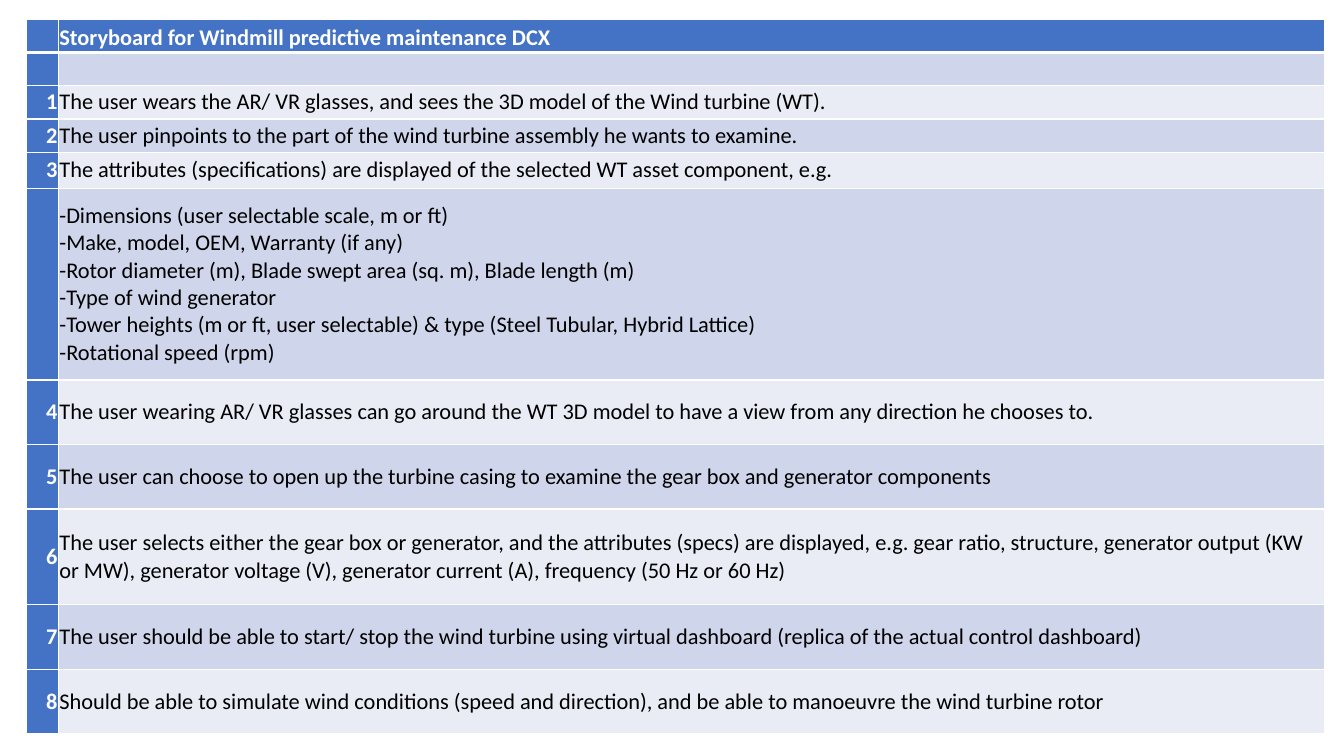
from copy import deepcopy

from lxml import etree
from pptx import Presentation
from pptx.dml.color import RGBColor
from pptx.enum import text as t
from pptx.oxml import ns
from pptx.util import Inches, Pt

BLUE, WHITE, BLACK = "4472C4", "FFFFFF", "000000"
BANDS = ["E9EBF5", "CFD5EA"]


def rgb(value):
    return RGBColor.from_string(value)


def write(cell, words, color=BLACK, bold=False, align=t.PP_ALIGN.LEFT, anchor=t.MSO_ANCHOR.MIDDLE):
    cell.margin_left = cell.margin_right = Inches(0.01)
    cell.margin_top = cell.margin_bottom = Inches(0.01)
    cell.vertical_anchor = anchor
    p = cell.text_frame.paragraphs[0]
    p.text = words
    p.alignment = align
    for r in p.runs:
        r.font.name, r.font.size, r.font.bold = "Calibri", Pt(16), bold
        r.font.color.rgb = rgb(color)
    for br in p._p.findall(ns.qn("a:br")):
        br.append(deepcopy(p.runs[0].font._element))


rows = [
    (0.33, "", "Storyboard for Windmill predictive maintenance DCX"),
    (0.33, "", ""),
    (0.33, "1", "The user wears the AR/ VR glasses, and sees the 3D model of the Wind turbine (WT)."),
    (0.33, "2", "The user pinpoints to the part of the wind turbine assembly he wants to examine."),
    (0.36, "3", "The attributes (specifications) are displayed of the selected WT asset component, e.g."),
    (1.9, "", "-Dimensions (user selectable scale, m or ft)\n"
              "-Make, model, OEM, Warranty (if any)\n"
              "-Rotor diameter (m), Blade swept area (sq. m), Blade length (m)\n"
              "-Type of wind generator \n"
              "-Tower heights (m or ft, user selectable) & type (Steel Tubular, Hybrid Lattice)\n"
              "-Rotational speed (rpm)"),
    (0.64, "4", "The user wearing AR/ VR glasses can go around the WT 3D model to have a view "
                "from any direction he chooses to."),
    (0.64, "5", "The user can choose to open up the turbine casing to examine the gear box "
                "and generator components"),
    (0.95, "6", "The user selects either the gear box or generator, and the attributes (specs) "
                "are displayed, e.g. gear ratio, structure, generator output (KW or MW), "
                "generator voltage (V), generator current (A), frequency (50 Hz or 60 Hz)"),
    (0.64, "7", "The user should be able to start/ stop the wind turbine using virtual dashboard "
                "(replica of the actual control dashboard)"),
    (0.64, "8", "Should be able to simulate wind conditions (speed and direction), and be able "
                "to manoeuvre the wind turbine rotor"),
]

prs = Presentation()
prs.slide_width, prs.slide_height = Inches(13.33), Inches(7.5)
s = prs.slides.add_slide(prs.slide_layouts[6])
height = sum(row[0] for row in rows)
sp = s.shapes.add_table(len(rows), 2, Inches(0.26), Inches(0.19), Inches(12.88), Inches(height))
table = sp.table
table.first_col = True
table.columns[0].width = Inches(0.32)
table.columns[1].width = Inches(12.56)

for i, (row_height, number, step) in enumerate(rows):
    table.rows[i].height = Inches(row_height)
    label, body = table.rows[i].cells
    write(label, number, color=WHITE, bold=True, align=t.PP_ALIGN.RIGHT)
    if i == 0:
        write(body, step, color=WHITE, bold=True, anchor=t.MSO_ANCHOR.BOTTOM)
    else:
        write(body, step)

    for cell in (label, body):
        tc_pr = cell._tc.get_or_add_tcPr()
        for side in "LRTB":
            heavy = (i, side) in [(0, "B"), (1, "T")]
            ln = etree.SubElement(tc_pr, ns.qn("a:ln" + side), w=str(Pt(3 if heavy else 1)))
            fill = etree.SubElement(ln, ns.qn("a:solidFill"))
            etree.SubElement(fill, ns.qn("a:srgbClr"), val=WHITE)
        cell.fill.solid()
        cell.fill.fore_color.rgb = rgb(BLUE if i == 0 or cell is label else BANDS[i % 2])

prs.save("out.pptx")
